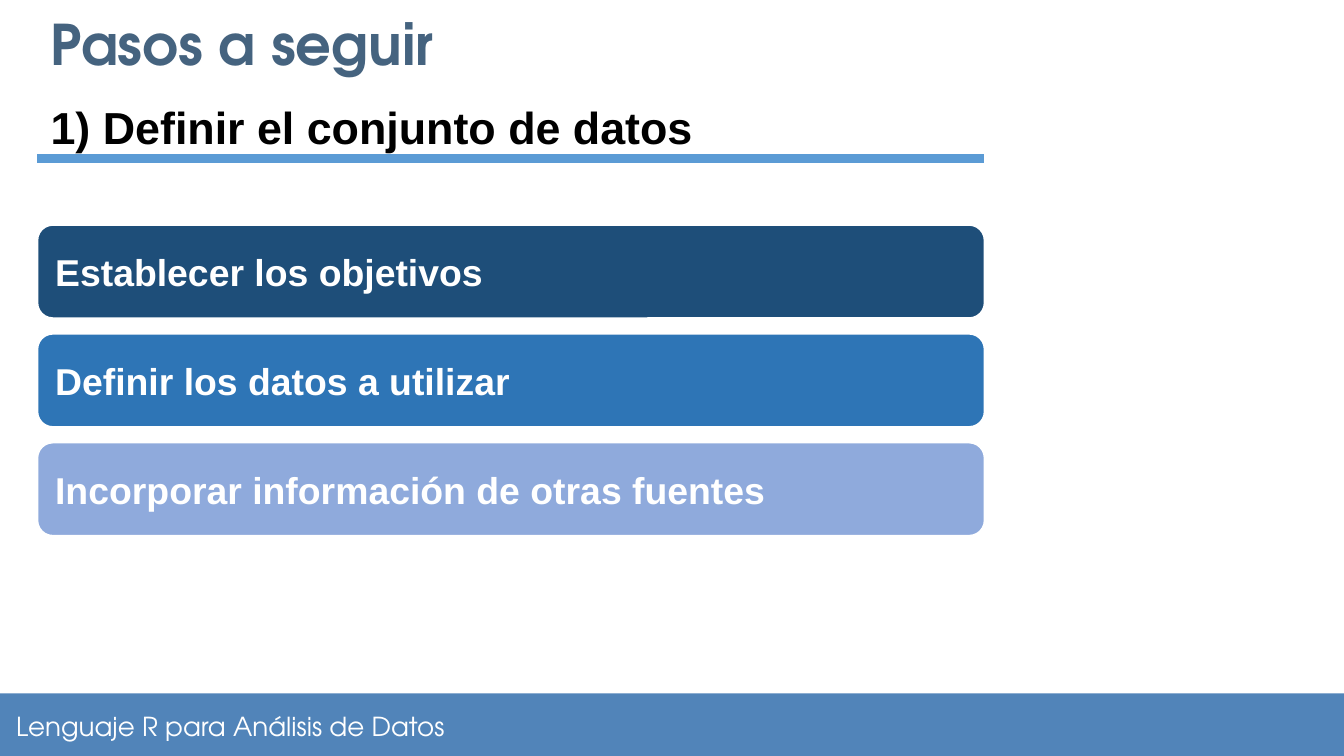
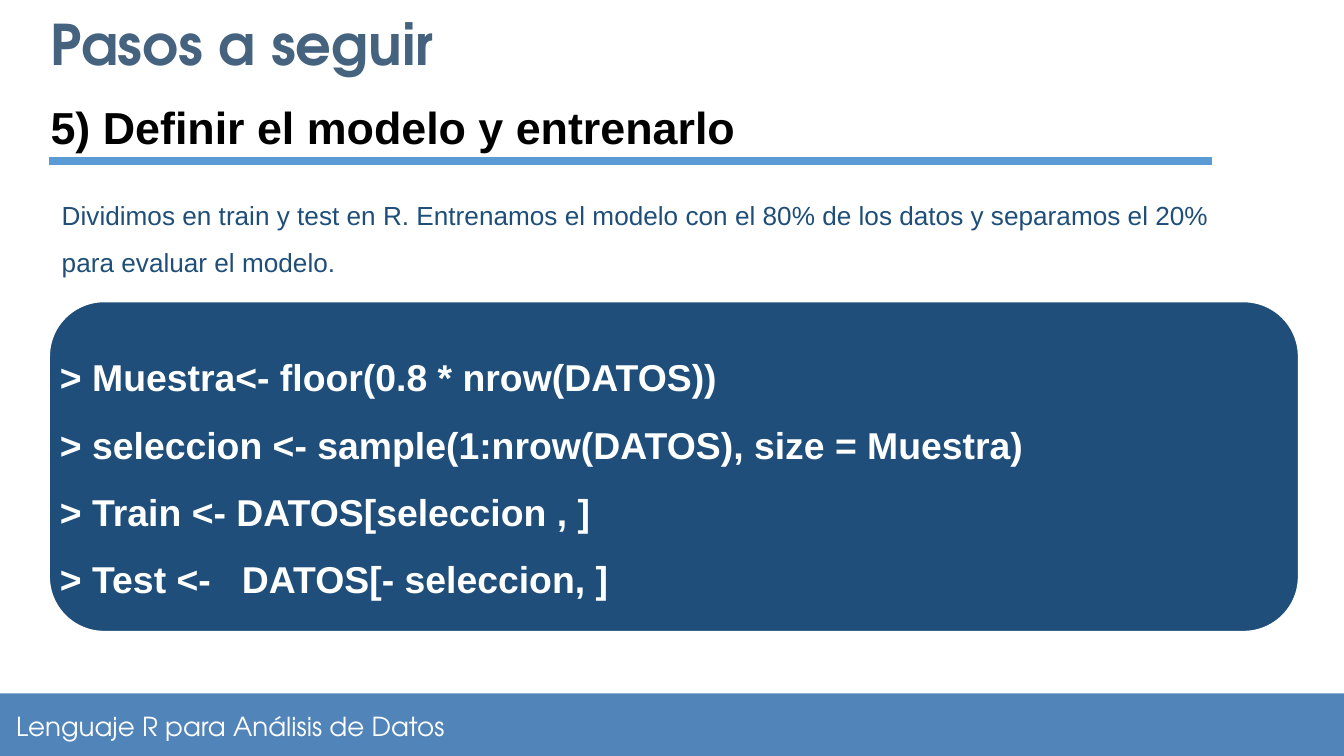
import pptx
import pptx.dml.color
import pptx.enum.shapes
import pptx.enum.text
import pptx.oxml.ns
import pptx.util
from lxml import etree

Pt = pptx.util.Pt
RGBColor = pptx.dml.color.RGBColor
MSO_SHAPE = pptx.enum.shapes.MSO_SHAPE
ANCHOR = pptx.enum.text.MSO_ANCHOR
PP_ALIGN = pptx.enum.text.PP_ALIGN

# Shared colours, fonts and measures
BAND_BLUE = RGBColor(0x51, 0x84, 0xB9)
TITLE_SLATE = RGBColor(0x45, 0x63, 0x7F)
RULE_BLUE = RGBColor(0x5B, 0x9B, 0xD5)
NAVY = RGBColor(0x1E, 0x4E, 0x79)
MID_BLUE = RGBColor(0x2E, 0x75, 0xB6)
PALE_BLUE = RGBColor(0x8F, 0xAA, 0xDC)
NOTE_BLUE = RGBColor(0x1F, 0x4E, 0x79)
WHITE = RGBColor(0xFF, 0xFF, 0xFF)
BLACK = RGBColor(0, 0, 0)
DISPLAY_FONT = "TeX Gyre Adventor"
BODY_FONT = "Arial"
WIDTH, HEIGHT = 720, 405
LEFT = 20
BAND_TOP = 371.5


def place(shape, box):
    shape.left, shape.top, shape.width, shape.height = map(Pt, box)


def write(shape, lines, size, color, font=BODY_FONT, bold=False,
          anchor=ANCHOR.MIDDLE, inset=(7.2, 7.2), spacing=None):
    """Fill a shape with left-aligned paragraphs of one style."""
    frame = shape.text_frame
    frame.word_wrap = True
    frame.auto_size = pptx.enum.text.MSO_AUTO_SIZE.NONE
    frame.vertical_anchor = anchor
    frame.margin_left = frame.margin_right = Pt(inset[0])
    frame.margin_top = frame.margin_bottom = Pt(inset[1])
    frame.text = "\n".join(lines)
    for paragraph in frame.paragraphs:
        paragraph.alignment = PP_ALIGN.LEFT
        if spacing:
            paragraph.line_spacing = spacing
        paragraph.font.size = Pt(size)
        paragraph.font.name = font
        paragraph.font.bold = bold
        paragraph.font.color.rgb = color


def add_text(slide, box, lines, size, color, **style):
    text = slide.shapes.add_textbox(*map(Pt, box))
    write(text, lines, size, color, **style)
    return text


def add_block(slide, kind, box, fill, outline=None):
    block = slide.shapes.add_shape(kind, *map(Pt, box))
    block.shadow.inherit = False
    block.fill.solid()
    block.fill.fore_color.rgb = fill
    if outline is None:
        block.line.fill.background()
    else:
        block.line.color.rgb = outline
        block.line.width = Pt(1)
    return block


def add_rule(slide, left, right, y):
    rule = slide.shapes.add_connector(
        pptx.enum.shapes.MSO_CONNECTOR.STRAIGHT, Pt(left), Pt(y), Pt(right), Pt(y))
    rule.line.color.rgb = RULE_BLUE
    rule.line.width = Pt(4.5)
    etree.SubElement(rule.element.spPr, pptx.oxml.ns.qn("a:effectLst"))


def move_footer_to_layout(slide, layout):
    """Build the footer band and hand it to the layout, which all slides share."""
    band = add_block(slide, MSO_SHAPE.RECTANGLE,
                     (0, BAND_TOP, WIDTH, HEIGHT - BAND_TOP), BAND_BLUE)
    course = add_text(slide, (1.5, 372, 358, 33.5),
                      ["Lenguaje R para Análisis de Datos"], 14, WHITE, font=DISPLAY_FONT)
    for part in (band, course):
        layout.shapes.element.append(part.element)


def add_step_slide(deck, layout, step):
    slide = deck.slides.add_slide(layout)
    title = slide.shapes.title
    place(title, (LEFT, 5, 474.5, 36.5))
    write(title, ["Pasos a seguir"], 30, TITLE_SLATE, font=DISPLAY_FONT, bold=True)
    add_text(slide, (LEFT, 49.7, 669, 36), [step], 24, BLACK,
             bold=True, anchor=ANCHOR.TOP, inset=(7.2, 3.6))
    return slide


def add_dataset_slide(deck, layout):
    slide = add_step_slide(deck, layout, "1) Definir el conjunto de datos")
    add_rule(slide, LEFT, 527, 85)
    # Stacked bars, one per task
    tasks = [("Establecer los objetivos", NAVY),
             ("Definir los datos a utilizar", MID_BLUE),
             ("Incorporar información de otras fuentes", PALE_BLUE)]
    for row, (task, fill) in enumerate(tasks):
        bar = add_block(slide, MSO_SHAPE.ROUNDED_RECTANGLE,
                        (LEFT, 120.5 + row * 58.3, 507.5, 50), fill, WHITE)
        write(bar, [task], 20, WHITE, bold=True)
    return slide


def add_training_slide(deck, layout):
    slide = add_step_slide(deck, layout, "5) Definir el modelo y entrenarlo")
    add_rule(slide, 26, 649.5, 86.2)
    add_text(slide, (26, 95, 633, 58.5),
             ["Dividimos en train y test en R. Entrenamos el modelo con el 80% de los "
              "datos y separamos el 20% para evaluar el modelo."],
             14, NOTE_BLUE, anchor=ANCHOR.TOP, inset=(7.2, 3.6), spacing=1.5)
    # Code panel
    add_block(slide, MSO_SHAPE.ROUNDED_RECTANGLE, (26.3, 161.5, 669.5, 177), NAVY, WHITE)
    add_text(slide, (26.3, 170, 650, 160),
             ["> Muestra<- floor(0.8 * nrow(DATOS))",
              "> seleccion <- sample(1:nrow(DATOS), size = Muestra)",
              "> Train <- DATOS[seleccion , ]",
              "> Test <-   DATOS[- seleccion, ]"],
             20, WHITE, bold=True, inset=(5.8, 5.8), spacing=1.5)


def main():
    deck = pptx.Presentation()
    deck.slide_width, deck.slide_height = Pt(WIDTH), Pt(HEIGHT)
    title_only = deck.slide_layouts[5]
    dataset = add_dataset_slide(deck, title_only)
    move_footer_to_layout(dataset, title_only)
    add_training_slide(deck, title_only)
    deck.save("out.pptx")


if __name__ == "__main__":
    main()
